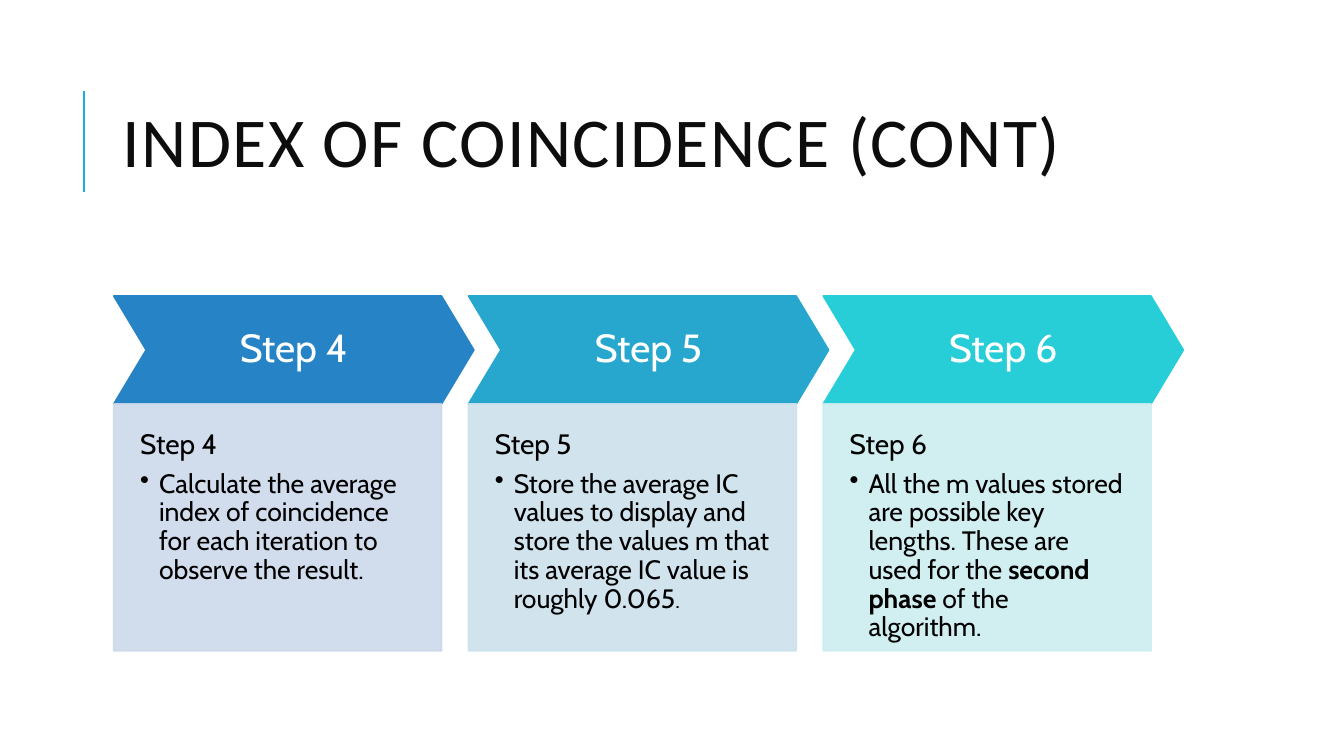
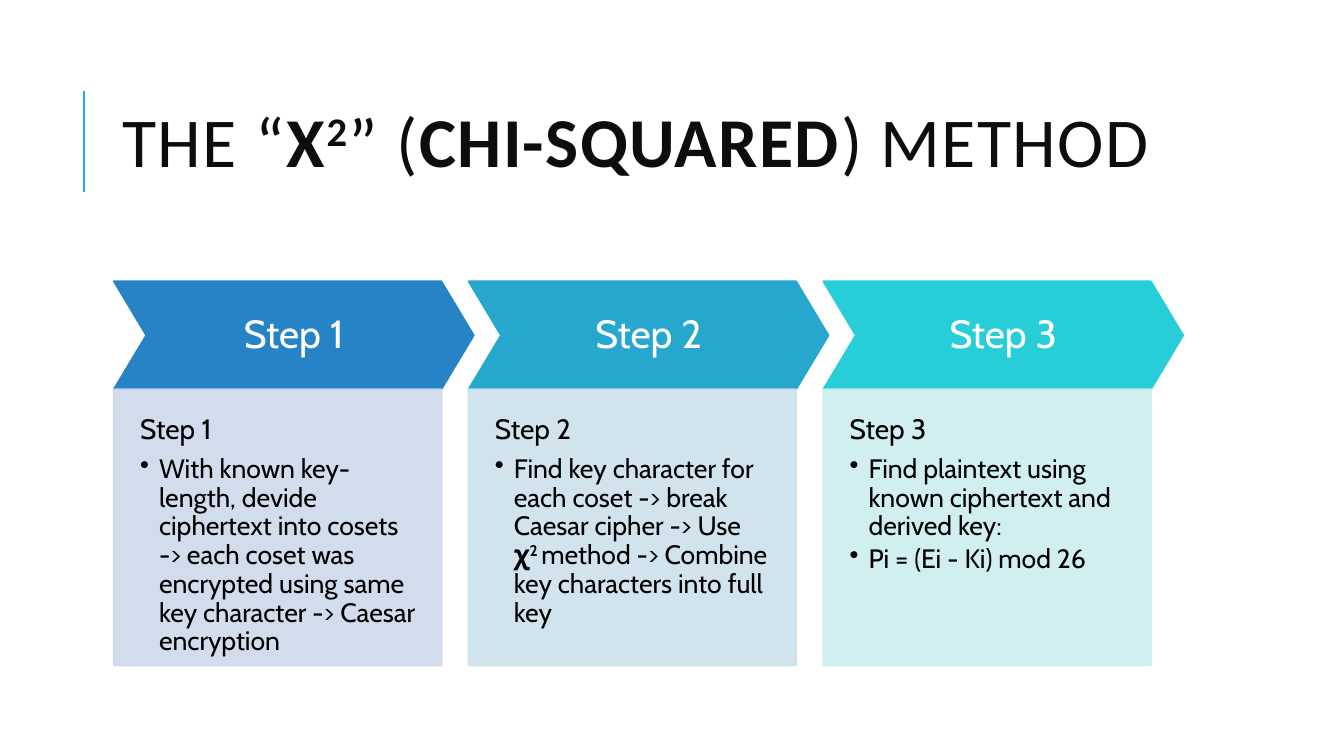
"""Build two slides that explain the steps of breaking a polyalphabetic cipher."""
from lxml import etree
from pptx import Presentation
from pptx import util as u
from pptx.dml import color
from pptx.enum import shapes, text
from pptx.oxml import ns

HEADING_FONT, BODY_FONT = "Calibri", "Cabin"
ACCENT, TITLE_INK, WHITE, BLACK = "1CADE4", "0D0D0D", "FFFFFF", "000000"
STEP_COLOURS = [("2683C6", "CDD9EA"), ("27A7CE", "CDE2ED"), ("27CED7", "CDEDF0")]

TITLE_BOX = (2.84, 1.63, 27, 4.17)
RULE_X, RULE_TOP, RULE_BOTTOM = 2.11, 2.29, 4.83
STEPS_LEFT, STEPS_MIDDLE, STEP_PITCH = 2.87, 11.93, 8.94
CHEVRON_WIDTH, CHEVRON_HEIGHT, CHEVRON_POINT = 9.07, 2.72, 0.3
PANEL_WIDTH, PANEL_OPACITY = 8.26, 90
BULLET_INDENT = 0.48

BOLD = {"bold": True}
BOLD_RAISED = {"bold": True, "raised": 30}

SLIDES = [
    {
        "title": [("INDEX OF COINCIDENCE (CONT)", {})],
        "panel_height": 6.22,
        "steps": [
            ("Step 4", [[("Calculate the average index of coincidence for each "
                          "iteration to observe the result.", {})]]),
            ("Step 5", [[("Store the average IC values to display and store the values m "
                          "that its average IC value is roughly 0.065", {}),
                         (".", {"size": u.Pt(16)})]]),
            ("Step 6", [[("All the m values stored are possible key lengths. "
                          "These are used for the ", {}),
                         ("second phase ", BOLD),
                         ("of the algorithm.", {})]]),
        ],
    },
    {
        "title": [("THE “", {}), ("Χ", BOLD), ("2", BOLD_RAISED), ("” (", {}),
                  ("CHI-SQUARED", BOLD), (") METHOD", {})],
        "panel_height": 6.96,
        "steps": [
            ("Step 1", [[("With known key-length, devide ciphertext into cosets -> each coset "
                          "was encrypted using same key character -> Caesar encryption", {})]]),
            ("Step 2", [[("Find key character for each coset -> break Caesar cipher -> Use ", {}),
                         ("χ", BOLD), ("2 ", BOLD_RAISED),
                         ("method -> Combine key characters into full key", {})]]),
            ("Step 3", [[("Find plaintext using known ciphertext and derived key:", {})],
                        [("Pi = (Ei - Ki) mod 26", {})]]),
        ],
    },
]


def assign(target, values):
    """Set each named attribute of the target."""
    for name, value in values.items():
        setattr(target, name, value)


def paint(fill, colour):
    """Give a fill one solid colour from a hex string."""
    fill.solid()
    fill.fore_color.rgb = color.RGBColor.from_string(colour)


def set_opacity(shape, percent):
    """Make the fill and outline of a shape partly transparent."""
    for colour in shape.element.spPr.iter(ns.qn("a:srgbClr")):
        etree.SubElement(colour, ns.qn("a:alpha"), val=str(percent * 1000))


def set_frame(frame, anchor, insets=(0.25, 0.13, 0.25, 0.13)):
    """Set the wrapping, anchor and left, top, right and bottom insets of a text frame."""
    sides = ("margin_left", "margin_top", "margin_right", "margin_bottom")
    assign(frame, {"word_wrap": True, "vertical_anchor": anchor})
    assign(frame, {side: u.Cm(inset) for side, inset in zip(sides, insets)})


def write(paragraph, runs, layout, font, colour, tracking=None):
    """Fill a paragraph with runs that share a font and may each vary it."""
    assign(paragraph, layout)
    for words, changes in runs:
        run = paragraph.add_run()
        run.text = words
        values = {**font, **changes}
        raised = values.pop("raised", None)
        assign(run.font, values)
        paint(run.font.fill, colour)
        properties = run.font._element
        if raised:
            properties.set("baseline", str(raised * 1000))
        if tracking:
            properties.set("spc", str(tracking * 100))


def add_bullet(paragraph):
    """Give a paragraph a round bullet with a hanging indent."""
    properties = paragraph._p.get_or_add_pPr()
    properties.set("marL", str(u.Cm(BULLET_INDENT)))
    properties.set("indent", str(-u.Cm(BULLET_INDENT)))
    etree.SubElement(properties, ns.qn("a:buChar"), char="•")


def add_block(slide, kind, box, colour):
    """Add a preset shape with matching fill and outline."""
    shape = slide.shapes.add_shape(kind, *map(u.Cm, box))
    shape.shadow.inherit = False
    paint(shape.fill, colour)
    paint(shape.line.fill, colour)
    shape.line.width = u.Pt(1.25)
    return shape


def add_title(slide, runs, box):
    """Add the slide title and the thin rule at its left."""
    ends = map(u.Cm, (RULE_X, RULE_BOTTOM, RULE_X, RULE_TOP))
    rule = slide.shapes.add_connector(shapes.MSO_CONNECTOR.STRAIGHT, *ends)
    paint(rule.line.fill, ACCENT)
    rule.line.width = u.Pt(1.5)
    etree.SubElement(rule.element.spPr, ns.qn("a:effectLst"))

    frame = slide.shapes.add_textbox(*map(u.Cm, box)).text_frame
    set_frame(frame, text.MSO_ANCHOR.MIDDLE)
    write(frame.paragraphs[0], runs, {"line_spacing": 0.8},
          {"name": HEADING_FONT, "size": u.Pt(50)}, TITLE_INK, tracking=1)


def add_chevron(slide, label, box, colour):
    """Add the arrow-shaped heading of a step."""
    chevron = add_block(slide, shapes.MSO_SHAPE.CHEVRON, box, colour)
    chevron.adjustments[0] = CHEVRON_POINT
    set_frame(chevron.text_frame, text.MSO_ANCHOR.MIDDLE, (0.33,) * 4)
    write(chevron.text_frame.paragraphs[0], [(label, {})],
          {"alignment": text.PP_ALIGN.CENTER, "line_spacing": 0.9},
          {"name": BODY_FONT, "size": u.Pt(28)}, WHITE)


def add_panel(slide, label, bullets, box, colour):
    """Add the pale panel with the label and bullets of a step."""
    panel = add_block(slide, shapes.MSO_SHAPE.RECTANGLE, box, colour)
    set_opacity(panel, PANEL_OPACITY)
    frame = panel.text_frame
    set_frame(frame, text.MSO_ANCHOR.TOP, (0.66, 0.66, 0.66, 1.3))
    layout = {"alignment": text.PP_ALIGN.LEFT, "line_spacing": 0.9}
    write(frame.paragraphs[0], [(label, {})], {**layout, "space_after": u.Pt(7)},
          {"name": BODY_FONT, "size": u.Pt(20)}, BLACK)
    for runs in bullets:
        paragraph = frame.add_paragraph()
        write(paragraph, runs, {**layout, "space_after": u.Pt(3)},
              {"name": BODY_FONT, "size": u.Pt(19)}, BLACK)
        add_bullet(paragraph)


def add_steps(slide, steps, left, middle, panel_height):
    """Add a row of steps centred vertically on the given height."""
    top = middle - (CHEVRON_HEIGHT + panel_height) / 2
    for index, ((label, bullets), (strong, pale)) in enumerate(zip(steps, STEP_COLOURS)):
        x = left + index * STEP_PITCH
        add_chevron(slide, label, (x, top, CHEVRON_WIDTH, CHEVRON_HEIGHT), strong)
        add_panel(slide, label, bullets,
                  (x, top + CHEVRON_HEIGHT, PANEL_WIDTH, panel_height), pale)


def main():
    """Build and save the presentation."""
    presentation = Presentation()
    assign(presentation, {"slide_width": u.Cm(33.87), "slide_height": u.Cm(19.05)})
    for content in SLIDES:
        slide = presentation.slides.add_slide(presentation.slide_layouts[6])
        paint(slide.background.fill, WHITE)
        add_title(slide, content["title"], TITLE_BOX)
        add_steps(slide, content["steps"], STEPS_LEFT, STEPS_MIDDLE, content["panel_height"])
    presentation.save("out.pptx")


if __name__ == "__main__":
    main()
